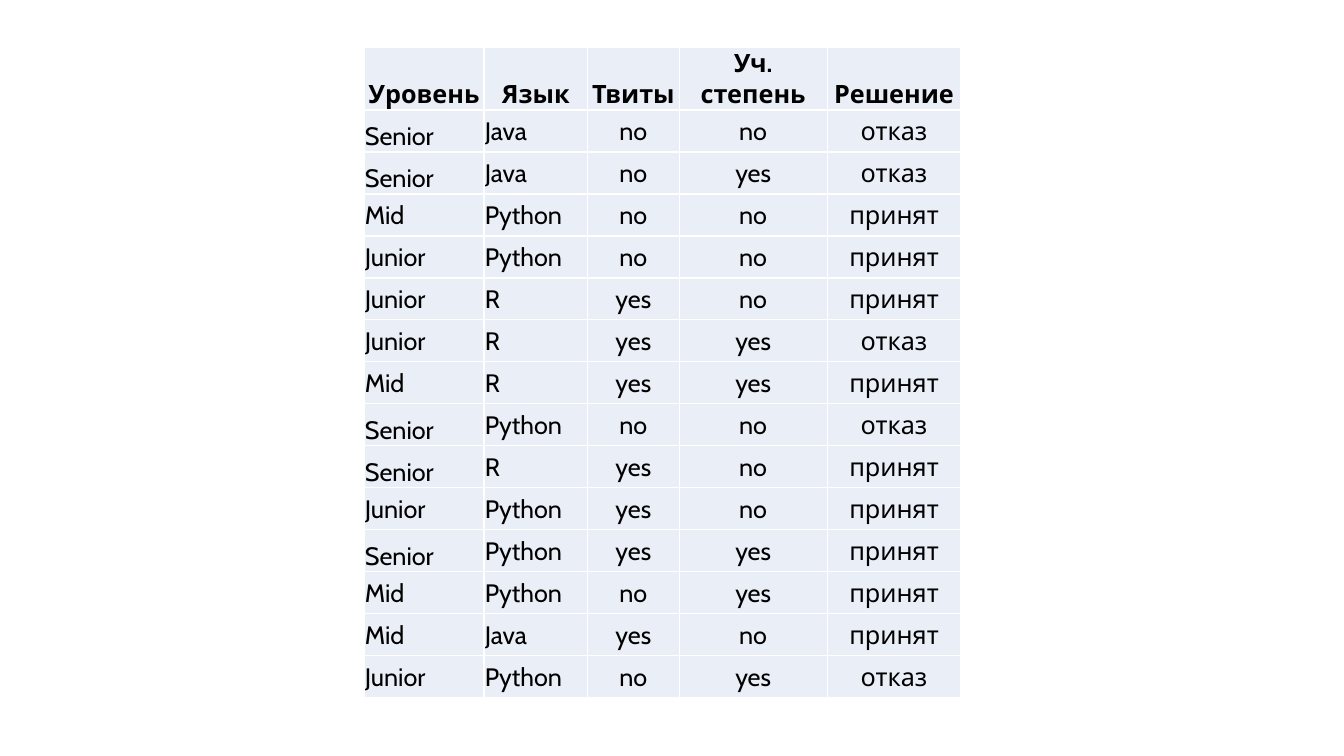
from dataclasses import dataclass
from typing import NamedTuple

from lxml.etree import SubElement
from pptx import Presentation
from pptx.dml.color import RGBColor
from pptx.enum.text import MSO_ANCHOR, PP_ALIGN
from pptx.oxml.ns import qn
from pptx.table import Table, _Cell
from pptx.util import Pt


@dataclass(frozen=True)
class Theme:
    """Colours, font and type size of the slide."""
    font: str = "Cabin"
    size: Pt = Pt(18)
    ink: RGBColor = RGBColor(0x00, 0x00, 0x00)
    cell: RGBColor = RGBColor(0xEA, 0xEF, 0xF7)
    grid: RGBColor = RGBColor(0xFF, 0xFF, 0xFF)
    grid_width: Pt = Pt(1)


class Column(NamedTuple):
    """Heading, width and body alignment of one attribute."""
    heading: str
    width: Pt
    align: PP_ALIGN


class Candidate(NamedTuple):
    """Attributes of one candidate and the hiring decision."""
    level: str
    language: str
    tweets: str
    degree: str
    decision: str


THEME = Theme()
LEFT, TOP = Pt(260), Pt(34)
ROW_HEIGHT = Pt(30)
INSET = Pt(0.6)

COLUMNS = [
    Column("Уровень", Pt(85.7), PP_ALIGN.LEFT),
    Column("Язык", Pt(74), PP_ALIGN.LEFT),
    Column("Твиты", Pt(65.5), PP_ALIGN.CENTER),
    Column("Уч. степень", Pt(105.7), PP_ALIGN.CENTER),
    Column("Решение", Pt(95.5), PP_ALIGN.CENTER),
]

CANDIDATES = [
    Candidate("Senior", "Java", "no", "no", "отказ"),
    Candidate("Senior", "Java", "no", "yes", "отказ"),
    Candidate("Mid", "Python", "no", "no", "принят"),
    Candidate("Junior", "Python", "no", "no", "принят"),
    Candidate("Junior", "R", "yes", "no", "принят"),
    Candidate("Junior", "R", "yes", "yes", "отказ"),
    Candidate("Mid", "R", "yes", "yes", "принят"),
    Candidate("Senior", "Python", "no", "no", "отказ"),
    Candidate("Senior", "R", "yes", "no", "принят"),
    Candidate("Junior", "Python", "yes", "no", "принят"),
    Candidate("Senior", "Python", "yes", "yes", "принят"),
    Candidate("Mid", "Python", "no", "yes", "принят"),
    Candidate("Mid", "Java", "yes", "no", "принят"),
    Candidate("Junior", "Python", "no", "yes", "отказ"),
]


def draw_borders(cell: _Cell) -> None:
    """Outline a cell with the grid colour; must precede its fill."""
    properties = cell._tc.get_or_add_tcPr()
    for side in ("a:lnL", "a:lnR", "a:lnT", "a:lnB"):
        border = SubElement(properties, qn(side), w=str(THEME.grid_width))
        fill = SubElement(border, qn("a:solidFill"))
        SubElement(fill, qn("a:srgbClr"), val=str(THEME.grid))


def fill_cell(cell: _Cell, text: str, align: PP_ALIGN,
              anchor: MSO_ANCHOR, bold: bool) -> None:
    """Style one cell and write its text."""
    draw_borders(cell)
    cell.fill.solid()
    cell.fill.fore_color.rgb = THEME.cell
    cell.margin_left = cell.margin_right = cell.margin_top = INSET
    cell.margin_bottom = Pt(0)
    cell.vertical_anchor = anchor
    paragraph = cell.text_frame.paragraphs[0]
    paragraph.alignment = align
    run = paragraph.add_run()
    run.text = text
    run.font.name = THEME.font
    run.font.size = THEME.size
    run.font.bold = bold
    run.font.color.rgb = THEME.ink


def fill_candidates(table: Table) -> None:
    """Write the headings and one row per candidate."""
    for index, column in enumerate(COLUMNS):
        table.columns[index].width = column.width
        fill_cell(table.cell(0, index), column.heading,
                  PP_ALIGN.CENTER, MSO_ANCHOR.BOTTOM, True)
        for row, candidate in enumerate(CANDIDATES, start=1):
            value = candidate[index]
            anchor = MSO_ANCHOR.BOTTOM if value == "Senior" else MSO_ANCHOR.MIDDLE
            fill_cell(table.cell(row, index), value, column.align, anchor, False)


def main() -> None:
    """Build and save the slide."""
    presentation = Presentation()
    presentation.slide_width, presentation.slide_height = Pt(960), Pt(540)
    slide = presentation.slides.add_slide(presentation.slide_layouts[6])
    row_count = len(CANDIDATES) + 1
    table = slide.shapes.add_table(
        row_count, len(COLUMNS), LEFT, TOP,
        sum(column.width for column in COLUMNS), ROW_HEIGHT * row_count).table
    table.first_row = table.horz_banding = False
    fill_candidates(table)
    presentation.save("out.pptx")


main()
